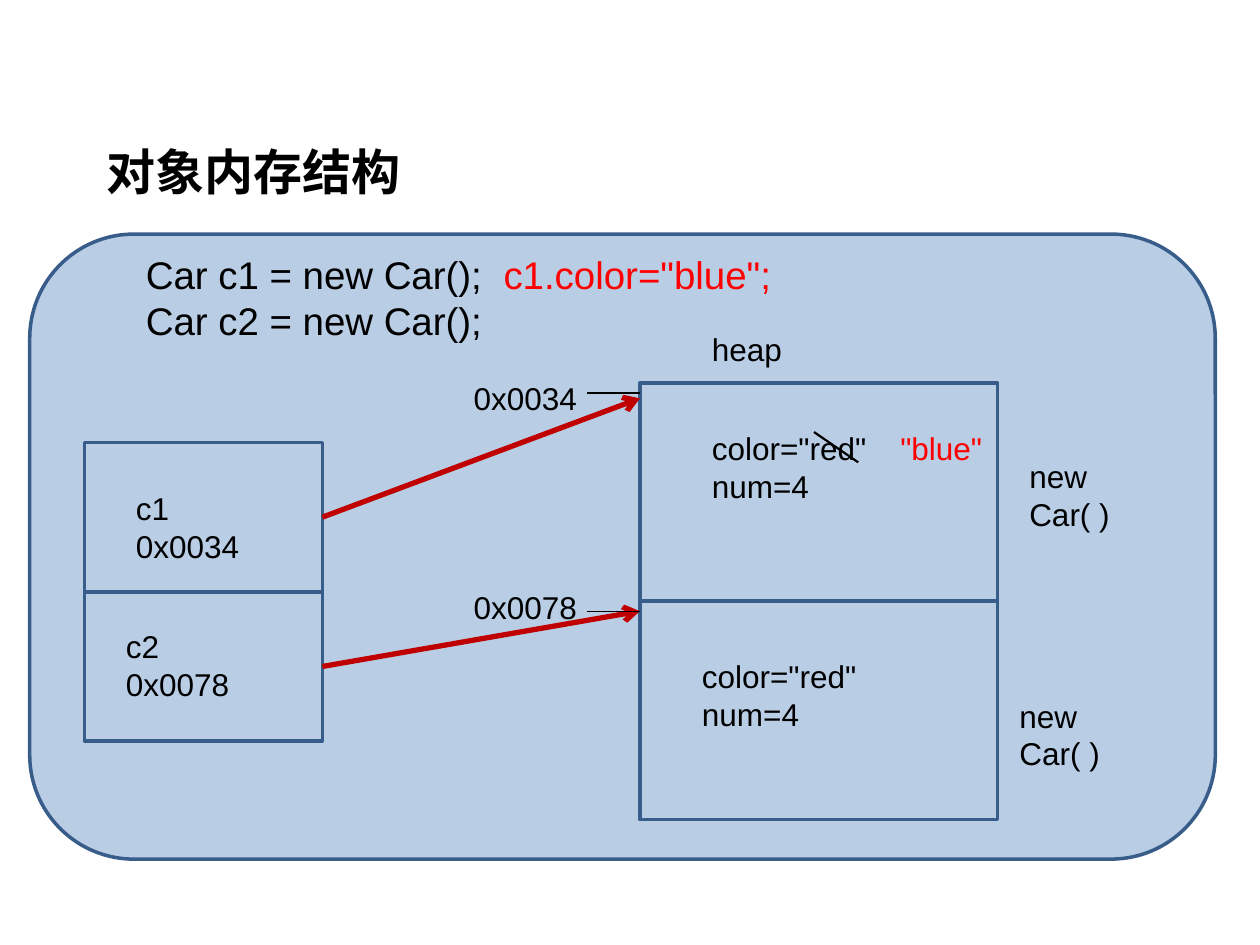
from lxml import etree
from pptx import Presentation
from pptx.dml.color import RGBColor
from pptx.enum import shapes, text
from pptx.oxml import ns
from pptx.util import Cm, Pt

HUES = {"fill": "B9CDE5", "edge": "385D8A", "arrow": "C00000",
        "ink": "000000", "new": "FF0000"}
HUES = {name: RGBColor.from_string(code) for name, code in HUES.items()}

deck = Presentation()
deck.slide_width, deck.slide_height = Cm(25.4), Cm(19.05)
slide = deck.slides.add_slide(deck.slide_layouts[5])
items = slide.shapes


def write(frame, words, size=18, hue="ink"):
    """Fill a text frame with left-aligned Arial lines."""
    frame.word_wrap = True
    frame.text = words
    for par in frame.paragraphs:
        par.alignment = text.PP_ALIGN.LEFT
        for run in par.runs:
            run.font.name = "Arial"
            run.font.size = Pt(size)
            run.font.color.rgb = HUES[hue]


def draw(start, end, width, hue="ink"):
    """Add a straight line without shadow between two points in cm."""
    line = items.add_connector(shapes.MSO_CONNECTOR.STRAIGHT,
                               *[Cm(n) for n in start + end])
    line.line.width = Pt(width)
    line.line.color.rgb = HUES[hue]
    etree.SubElement(line._element.spPr, ns.qn("a:effectLst"))
    return line


# Title
title = items.title
title.left, title.top, title.width, title.height = Cm(1.9), Cm(2.72), Cm(9.4), Cm(1.45)
write(title.text_frame, "对象内存结构", 28)
title.text_frame.paragraphs[0].runs[0].font.bold = True

# Panel, then stack and heap cells from top to bottom
rect, panel = shapes.MSO_SHAPE.RECTANGLE, shapes.MSO_SHAPE.ROUNDED_RECTANGLE
cells = []
for kind, x, y, w, h, count in [
    (panel, 0.6, 4.72, 23.9, 12.6, 1),
    (rect, 1.7, 8.92, 4.8, 3.01, 2),
    (rect, 12.9, 7.72, 7.21, 4.4, 2),
]:
    for row in range(count):
        cell = items.add_shape(kind, Cm(x), Cm(y + row * h), Cm(w), Cm(h))
        cell.shadow.inherit = False
        cell.fill.solid()
        cell.fill.fore_color.rgb = HUES["fill"]
        cell.line.color.rgb = HUES["edge"]
        cell.line.width = Pt(2)
        cells.append(cell)
stack = cells[1:3]

# References from the stack to the heap
for cell, y in zip(stack, [8.03, 12.32]):
    arrow = draw((6.5, y), (12.9, y), 3, "arrow")
    arrow.begin_connect(cell, 3)
    etree.SubElement(arrow.line._get_or_add_ln(), ns.qn("a:tailEnd"), type="arrow")

# Address ticks
for y in [7.92, 12.32]:
    draw((11.84, y), (12.9, y), 0.75)

# Labels
for words, x, y, w, h, size, hue in [
    ("Car c1 = new Car();  \nCar c2 = new Car();", 2.69, 4.93, 14.6, 2.11, 22, "ink"),
    ("heap", 14.1, 6.53, 4.8, 1.02, 18, "ink"),
    ("c1\n0x0034", 2.49, 9.73, 3.2, 1.8, 18, "ink"),
    ("c2\n0x0078", 2.29, 12.52, 3.2, 1.8, 18, "ink"),
    ("0x0034", 9.3, 7.52, 2.8, 1.02, 18, "ink"),
    ("0x0078", 9.3, 11.73, 2.8, 1.02, 18, "ink"),
    ("new Car( )", 20.5, 9.09, 3.3, 1.02, 18, "ink"),
    ("new Car( )", 20.3, 13.92, 3.3, 1.02, 18, "ink"),
    ('color="red"\nnum=4', 13.9, 13.13, 5.2, 1.8, 18, "ink"),
    ('color="red"\nnum=4', 14.1, 8.53, 5.2, 1.8, 18, "ink"),
    ('"blue"', 17.9, 8.53, 2.4, 1.02, 18, "new"),
]:
    label = items.add_textbox(Cm(x), Cm(y), Cm(w), Cm(h))
    write(label.text_frame, words, size, hue)
    label.text_frame.auto_size = text.MSO_AUTO_SIZE.SHAPE_TO_FIT_TEXT
    if size == 22:
        run = label.text_frame.paragraphs[0].add_run()
        run.text = 'c1.color="blue";'
        run.font.name, run.font.size = "Arial", Pt(size)
        run.font.color.rgb = HUES["new"]

# Strike through the replaced value
draw((16.41, 8.71), (17.3, 9.32), 1.25)

deck.save("out.pptx")
